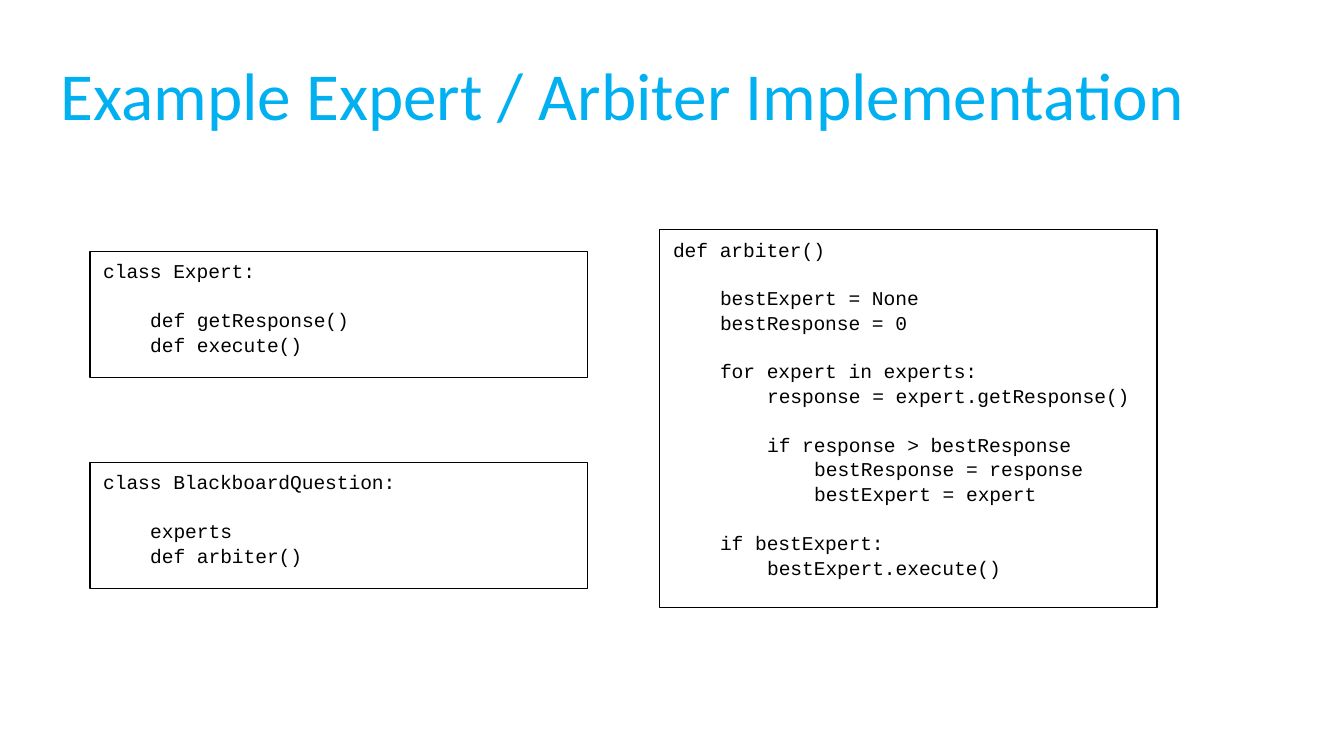
from pptx import Presentation
from pptx import util as u
from pptx.dml.color import RGBColor
from pptx.enum import shapes, text

LINE_HEIGHT = 12.6  # points
INDENT = u.Pt(25.2)  # four monospaced characters

# Each code line: nesting level, text, whether a gap precedes it
EXPERT = [
    (0, "class Expert:", False),
    (1, "def getResponse()", True),
    (1, "def execute()", False),
]
QUESTION = [
    (0, "class BlackboardQuestion:", False),
    (1, "experts", True),
    (1, "def arbiter()", False),
]
ARBITER = [
    (0, "def arbiter()", False),
    (1, "bestExpert = None", True),
    (1, "bestResponse = 0", False),
    (1, "for expert in experts:", True),
    (2, "response = expert.getResponse()", False),
    (2, "if response > bestResponse", True),
    (3, "bestResponse = response", False),
    (3, "bestExpert = expert", False),
    (1, "if bestExpert:", True),
    (2, "bestExpert.execute()", False),
]


def color(hex_string):
    """Return the colour for a hex string."""
    return RGBColor.from_string(hex_string)


def set_font(paragraph, name, size, hex_string):
    """Set the font of a whole paragraph."""
    paragraph.font.name = name
    paragraph.font.size = u.Pt(size)
    paragraph.font.color.rgb = color(hex_string)


def add_title(slide, wording):
    """Fill and place the title placeholder."""
    title = slide.shapes.title
    title.left, title.top = u.Cm(0.89), u.Cm(0.58)
    title.width, title.height = u.Cm(23.24), u.Cm(2.39)
    frame = title.text_frame
    frame.text = wording
    frame.word_wrap = True
    frame.vertical_anchor = text.MSO_ANCHOR.MIDDLE
    paragraph = frame.paragraphs[0]
    paragraph.alignment = text.PP_ALIGN.LEFT
    set_font(paragraph, "Calibri", 36, "00B0F0")


def add_code_box(slide, left, top, height, lines):
    """Add an outlined box of code, indented by nesting level."""
    box = slide.shapes.add_shape(
        shapes.MSO_SHAPE.RECTANGLE, u.Cm(left), u.Cm(top), u.Cm(9.4), u.Cm(height))
    box.shadow.inherit = False
    box.fill.solid()
    box.fill.fore_color.rgb = color("FFFFFF")
    box.line.color.rgb = color("000000")
    box.line.width = u.Pt(0.75)
    frame = box.text_frame
    frame.word_wrap = True
    frame.vertical_anchor = text.MSO_ANCHOR.TOP
    for index, (level, wording, gap) in enumerate(lines):
        paragraph = frame.add_paragraph() if index else frame.paragraphs[0]
        paragraph.text = wording
        paragraph.alignment = text.PP_ALIGN.LEFT
        paragraph.line_spacing = 1.06
        paragraph.space_before = u.Pt(LINE_HEIGHT if gap else 0)
        set_font(paragraph, "Courier New", 10.5, "000000")
        properties = paragraph._p.get_or_add_pPr()
        properties.set("marL", str(level * INDENT))
        properties.set("indent", "0")


def main():
    """Build the slide and save it."""
    presentation = Presentation()
    presentation.slide_width = u.Cm(25.4)
    presentation.slide_height = u.Cm(14.29)
    slide = presentation.slides.add_slide(presentation.slide_layouts[5])
    add_title(slide, "Example Expert / Arbiter Implementation")
    add_code_box(slide, 1.7, 4.75, 2.39, EXPERT)
    add_code_box(slide, 1.7, 8.74, 2.39, QUESTION)
    add_code_box(slide, 12.47, 4.34, 7.14, ARBITER)
    presentation.save("out.pptx")


main()
